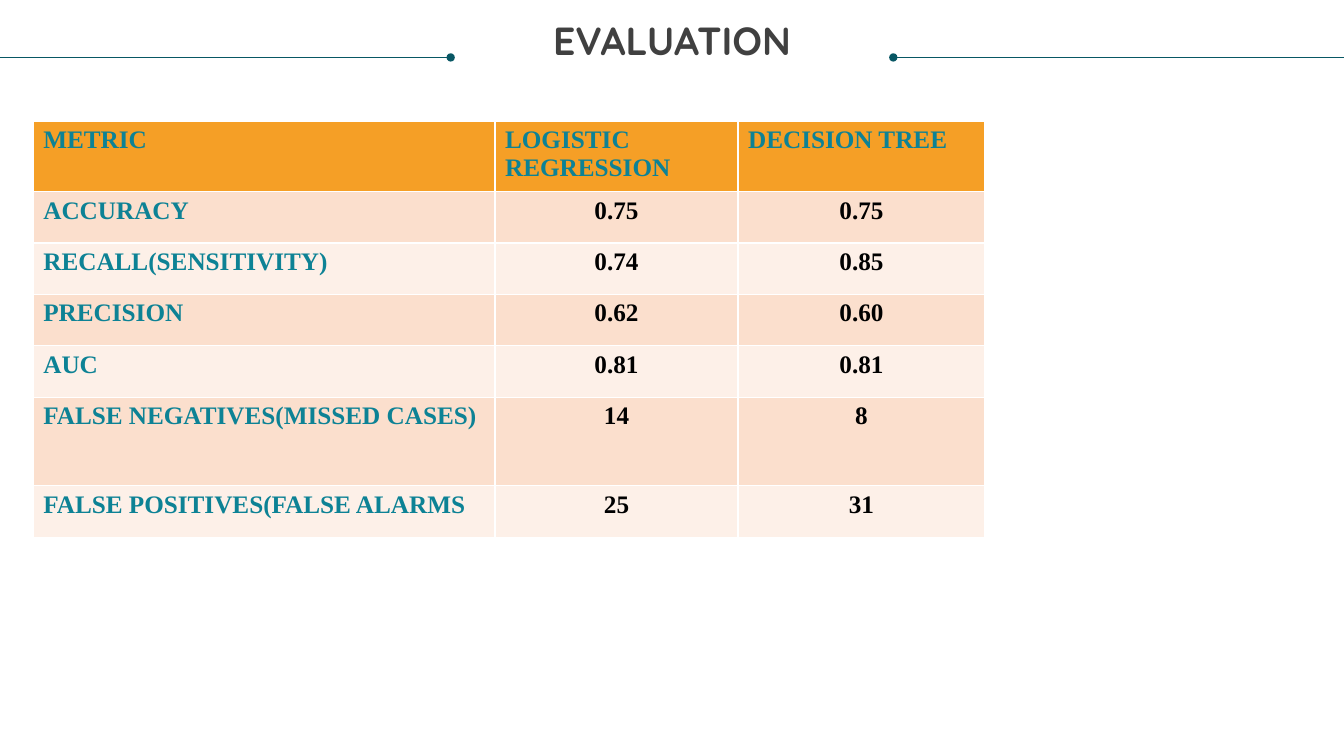
from pptx import Presentation
from pptx import util as u
from pptx.dml.color import RGBColor
from pptx.enum import shapes, text
from pptx.oxml.ns import qn
from lxml import etree

WIDE, HIGH = u.Inches(13.33), u.Inches(7.5)
TEAL = RGBColor(0x0D, 0x82, 0x95)
DEEP = RGBColor(0x08, 0x57, 0x64)
GRAY = RGBColor(0x40, 0x40, 0x40)
BLACK = RGBColor(0, 0, 0)
AMBER = RGBColor(0xF5, 0x9F, 0x26)
PEACH = RGBColor(0xFB, 0xDF, 0xCD)
CREAM = RGBColor(0xFD, 0xF0, 0xE8)

COLS = [4.58, 2.41, 2.45]
ROW, TALL, HEAD = 0.51, 0.88, 0.57
SCORES = [
    ("METRIC", "LOGISTIC REGRESSION", "DECISION TREE"),
    ("ACCURACY", "0.75", "0.75"),
    ("RECALL(SENSITIVITY)", "0.74", "0.85"),
    ("PRECISION", "0.62", "0.60"),
    ("AUC", "0.81", "0.81"),
    ("FALSE NEGATIVES(MISSED CASES)", "14", "8"),
    ("FALSE POSITIVES(FALSE ALARMS", "25", "31"),
]


def style(para, face, size, color, align):
    para.alignment = align
    for run in para.runs:
        font = run.font
        font.name, font.size, font.bold = face, u.Pt(size), True
        font.color.rgb = color


def add_title(slide, words):
    title = slide.shapes.title
    title.left, title.top = u.Inches(0.25), u.Inches(0.21)
    title.width, title.height = WIDE - 2 * title.left, u.Inches(0.42)
    frame = title.text_frame
    frame.text = words
    frame.word_wrap = True
    frame.auto_size = text.MSO_AUTO_SIZE.SHAPE_TO_FIT_TEXT
    frame.vertical_anchor = text.MSO_ANCHOR.TOP
    frame.margin_left = frame.margin_right = 0
    frame.margin_top = frame.margin_bottom = 0
    para = frame.paragraphs[0]
    para.line_spacing = 0.9
    style(para, "Quicksand", 28, GRAY, text.PP_ALIGN.CENTER)


def add_rule(slide, dot, edge):
    """Draw a thin line from a round dot to the slide's edge."""
    y = u.Inches(0.57)
    rule = slide.shapes.add_connector(
        shapes.MSO_CONNECTOR.STRAIGHT, dot, y, edge, y)
    rule.line.color.rgb = DEEP
    rule.line.width = u.Pt(0.5)
    line = rule.line._get_or_add_ln()
    etree.SubElement(line, qn("a:headEnd"), type="oval")
    etree.SubElement(rule._element.spPr, qn("a:effectLst"))


def fill_cell(cell, words, fill, color, align):
    cell.fill.solid()
    cell.fill.fore_color.rgb = fill
    cell.text = words
    style(cell.text_frame.paragraphs[0], "Times New Roman", 18, color, align)


def add_scores(slide):
    rows = [HEAD] + [ROW] * 4 + [TALL, ROW]
    grid = slide.shapes.add_table(
        len(rows), len(COLS), u.Inches(0.33), u.Inches(1.2),
        u.Inches(sum(COLS)), u.Inches(sum(rows))).table
    for col, width in zip(grid.columns, COLS):
        col.width = u.Inches(width)
    for row, height in zip(grid.rows, rows):
        row.height = u.Inches(height)
    for r, record in enumerate(SCORES):
        fill = AMBER if r == 0 else PEACH if r % 2 else CREAM
        for c, words in enumerate(record):
            label = r == 0 or c == 0
            align = text.PP_ALIGN.LEFT if label else text.PP_ALIGN.CENTER
            fill_cell(grid.cell(r, c), words, fill,
                      TEAL if label else BLACK, align)


def main():
    deck = Presentation()
    deck.slide_width, deck.slide_height = WIDE, HIGH
    slide = deck.slides.add_slide(deck.slide_layouts.get_by_name("Title Only"))
    reach = u.Inches(4.47)
    add_rule(slide, WIDE - reach, WIDE)
    add_title(slide, "EVALUATION")
    add_rule(slide, reach, 0)
    add_scores(slide)
    deck.save("out.pptx")


if __name__ == "__main__":
    main()
